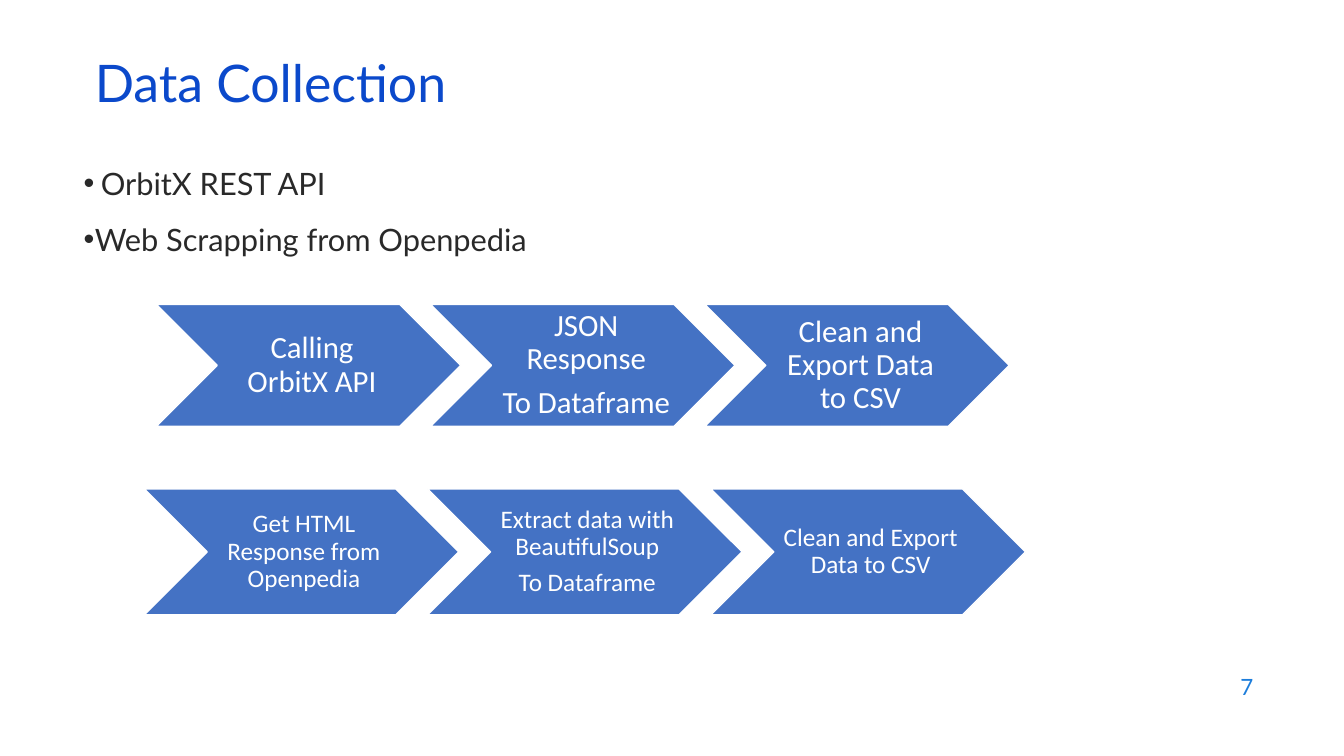
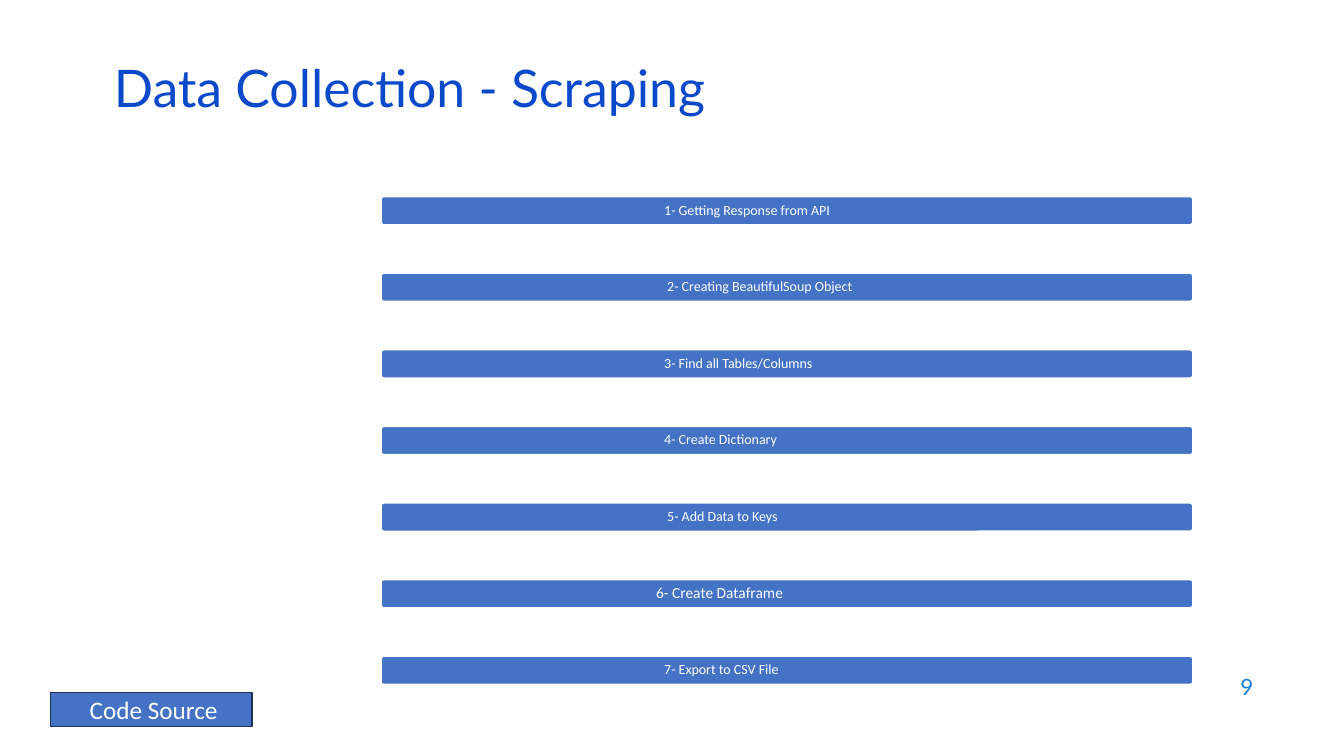
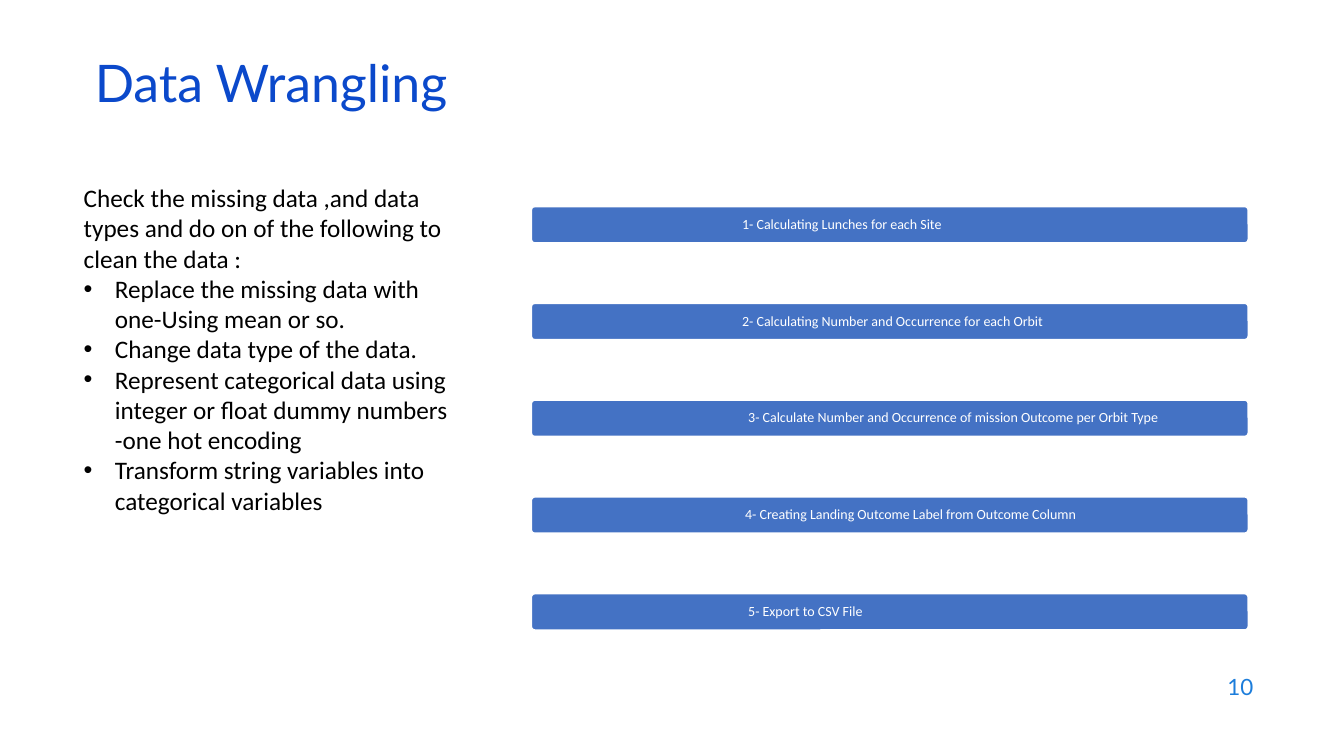
from lxml.etree import SubElement
from pptx import Presentation
from pptx.dml.color import RGBColor
from pptx.enum.shapes import MSO_SHAPE as Shape
from pptx.enum.text import MSO_ANCHOR as Anchor, MSO_AUTO_SIZE as AutoSize, PP_ALIGN as Align
from pptx.oxml.ns import qn
from pptx.util import Inches, Pt

COLORS = {
    "title": "0B49CB",
    "number": "1C7DDB",
    "body": "292929",
    "black": "000000",
    "white": "FFFFFF",
    "block": "4472C4",
    "button_edge": "1E3256",
}
TITLE_AND_CONTENT, TITLE_ONLY = 1, 5

prs = Presentation()
prs.slide_width = Inches(13.33)
prs.slide_height = Inches(7.5)


def write(frame, lines, font, size, color, align=Align.LEFT, spacing=1.0, before=0, after=0):
    frame.word_wrap = True
    frame.auto_size = AutoSize.NONE
    for index, line in enumerate(lines):
        paragraph = frame.add_paragraph() if index else frame.paragraphs[0]
        paragraph.alignment = align
        paragraph.line_spacing = spacing
        paragraph.space_before = Pt(before if index else 0)
        paragraph.space_after = Pt(after)
        run = paragraph.add_run()
        run.text = line
        run.font.name = font
        run.font.size = Pt(size)
        run.font.color.rgb = RGBColor.from_string(COLORS[color])


def add_block(slide, kind, box, lines, size, edge="white", align=Align.CENTER, spacing=0.9, inset=0.1, pad=0.03):
    block = slide.shapes.add_shape(kind, *map(Inches, box))
    block.shadow.inherit = False
    block.fill.solid()
    block.fill.fore_color.rgb = RGBColor.from_string(COLORS["block"])
    block.line.color.rgb = RGBColor.from_string(COLORS[edge])
    block.line.width = Pt(1)
    frame = block.text_frame
    frame.vertical_anchor = Anchor.MIDDLE
    frame.margin_left = Inches(inset)
    frame.margin_top = frame.margin_right = frame.margin_bottom = Inches(pad)
    write(frame, lines, "Calibri", size, "white", align, spacing, after=size * 0.35)
    return block


pages = []
for layout, heading, number, left, top in [
    (TITLE_AND_CONTENT, "Data Collection", "7", 0.84, 0.59),
    (TITLE_ONLY, "Data Collection - Scraping", "9", 1.03, 0.64),
    (TITLE_AND_CONTENT, "Data Wrangling", "10", 0.84, 0.59),
]:
    slide = prs.slides.add_slide(prs.slide_layouts[layout])
    title = slide.shapes.title
    title.left, title.top, title.width, title.height = map(Inches, (left, top, 11.5, 0.6))
    title.text_frame.vertical_anchor = Anchor.MIDDLE
    write(title.text_frame, [heading], "Lato", 37, "title", spacing=0.7)
    page_number = slide.shapes.add_textbox(*map(Inches, (9.53, 6.59, 3, 0.44))).text_frame
    page_number.vertical_anchor = Anchor.MIDDLE
    write(page_number, [number], "Lato", 16, "number", Align.RIGHT)
    pages.append(slide)

collection, scraping, wrangling = pages

for slide, box, font, size, color, before, items in [
    (collection, (0.73, 1.58, 6.86, 0.97), "Lato", 22, "body", 14, [
        ("OrbitX REST API", 0.17),
        ("Web Scrapping from Openpedia", 0.11),
    ]),
    (wrangling, (0.73, 1.76, 4.02, 3.43), "Calibri", 18, "black", 0, [
        ("Check the missing data ,and data types and do on of the following to clean the data :", 0),
        ("Replace the missing data with one-Using mean or so.", 0.31),
        ("Change data type of the data.", 0.31),
        ("Represent categorical data using integer or float dummy numbers -one hot encoding", 0.31),
        ("Transform string variables into categorical variables", 0.31),
    ]),
]:
    body = slide.placeholders[1]
    body.left, body.top, body.width, body.height = map(Inches, box)
    write(body.text_frame, [text for text, hang in items], font, size, color, before=before)
    for paragraph, (text, hang) in zip(body.text_frame.paragraphs, items):
        properties = paragraph._p.get_or_add_pPr()
        properties.set("marL", str(Inches(hang)))
        properties.set("indent", str(-Inches(hang)))
        if not hang:
            SubElement(properties, qn("a:buNone"))

for left, top, width, height, pitch, size, inset, steps in [
    (1.55, 3.02, 3.02, 1.21, 2.72, 22, 0.1, [
        ["Calling OrbitX API"],
        ["JSON Response", "To Dataframe"],
        ["Clean and Export Data to CSV"],
    ]),
    (1.43, 4.85, 3.12, 1.25, 2.81, 18, 0.08, [
        ["Get HTML Response from Openpedia"],
        ["Extract data with BeautifulSoup", "To Dataframe"],
        ["Clean and Export Data to CSV"],
    ]),
]:
    for index, step in enumerate(steps):
        add_block(collection, Shape.CHEVRON, (left + index * pitch, top, width, height), step, size, inset=inset)

for slide, left, top, width, height, pitch, bars in [
    (scraping, 3.78, 1.95, 8.05, 0.28, 0.76, [
        ("1- Getting Response from API", 10, 2.8),
        ("2- Creating BeautifulSoup Object", 10, 2.83),
        ("3- Find all Tables/Columns", 10, 2.8),
        ("4- Create Dictionary", 10, 2.8),
        ("5- Add Data to Keys", 10, 2.83),
        ("6- Create Dataframe", 11, 2.72),
        ("7- Export to CSV File", 10, 2.8),
    ]),
    (wrangling, 5.27, 2.05, 7.11, 0.36, 0.96, [
        ("1- Calculating Lunches for each Site", 10, 2.08),
        ("2- Calculating Number and Occurrence for each Orbit", 10, 2.08),
        ("3- Calculate Number and Occurrence of mission Outcome per Orbit Type", 10, 2.14),
        ("4- Creating Landing Outcome Label from Outcome Column", 10, 2.11),
        ("5- Export to CSV File", 10, 2.14),
    ]),
]:
    for index, (step, size, inset) in enumerate(bars):
        bar = add_block(slide, Shape.ROUNDED_RECTANGLE, (left, top + index * pitch, width, height),
                        [step], size, align=Align.LEFT, inset=inset, pad=0.04)
        bar.adjustments[0] = 0.1

add_block(scraping, Shape.RECTANGLE, (0.5, 6.87, 2, 0.34), ["Code Source"], 18,
          edge="button_edge", spacing=1.0, pad=0.05)

prs.save("out.pptx")
